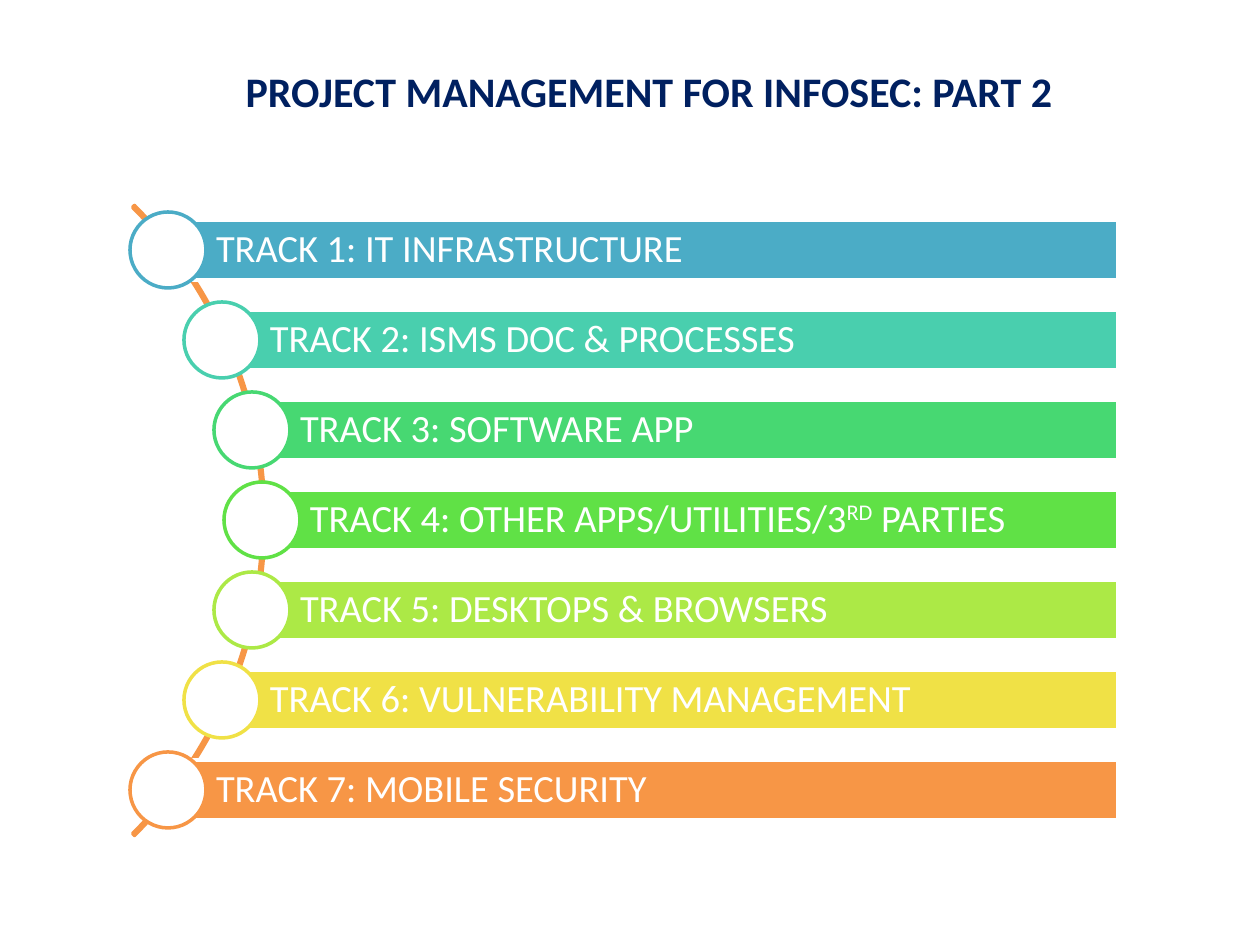
from pptx import Presentation
from pptx.dml.color import RGBColor
from pptx.enum.shapes import MSO_SHAPE
from pptx.enum.text import MSO_ANCHOR, PP_ALIGN
from pptx.util import Inches, Pt

RECTANGLE, OVAL, BLOCK_ARC = MSO_SHAPE.RECTANGLE, MSO_SHAPE.OVAL, MSO_SHAPE.BLOCK_ARC
MIDDLE = MSO_ANCHOR.MIDDLE
LEFT, CENTER = PP_ALIGN.LEFT, PP_ALIGN.CENTER

WHITE = RGBColor(0xFF, 0xFF, 0xFF)
NAVY = RGBColor(0x00, 0x20, 0x60)
BLUE = RGBColor(0x4B, 0xAC, 0xC6)
TEAL = RGBColor(0x49, 0xCF, 0xAE)
GREEN = RGBColor(0x47, 0xD8, 0x72)
BRIGHT_GREEN = RGBColor(0x60, 0xE1, 0x46)
LIME = RGBColor(0xAC, 0xE9, 0x46)
YELLOW = RGBColor(0xF0, 0xE1, 0x46)
ORANGE = RGBColor(0xF7, 0x96, 0x46)

PX_PER_INCH = 126
SUPERSCRIPT = "30000"

# Each track: colour and its text runs as (text, baseline shift)
TRACKS = [
    (BLUE, [("TRACK 1: IT INFRASTRUCTURE", None)]),
    (TEAL, [("TRACK 2: ISMS DOC & PROCESSES", None)]),
    (GREEN, [("TRACK 3: SOFTWARE APP", None)]),
    (BRIGHT_GREEN, [("TRACK 4: OTHER APPS/UTILITIES/3", None),
                    ("RD", SUPERSCRIPT), (" PARTIES", None)]),
    (LIME, [("TRACK 5: DESKTOPS & BROWSERS", None)]),
    (YELLOW, [("TRACK 6: VULNERABILITY MANAGEMENT", None)]),
    (ORANGE, [("TRACK 7: MOBILE SECURITY", None)]),
]
MIDDLE_TRACK = len(TRACKS) // 2
# Left edge of a bar by its distance from the middle track
BAR_LEFTS = [262, 252, 222, 168]
BAR_RIGHT, BAR_HEIGHT = 1118, 60
CENTER_Y, PITCH = 520, 90
MARKER_SIZE = 76
ARC_LEFT, ARC_SIZE = -626, 891


def px(length):
    return Inches(length / PX_PER_INCH)


class TrackSlide:
    """Holds the text and line style together with the current slide."""

    font_name = "Calibri"
    line_width = Pt(2)

    def __init__(self, presentation):
        self.slide = presentation.slides.add_slide(presentation.slide_layouts[5])

    def add_run(self, paragraph, text, size, color, bold=False, baseline=None):
        run = paragraph.add_run()
        run.text = text
        run.font.name = self.font_name
        run.font.size = Pt(size)
        run.font.bold = bold
        run.font.color.rgb = color
        if baseline:
            run.font._element.set("baseline", baseline)

    def title(self, text, left, top, width, height):
        heading = self.slide.shapes.title
        heading.left, heading.top = px(left), px(top)
        heading.width, heading.height = px(width), px(height)
        heading.text_frame.vertical_anchor = MIDDLE
        paragraph = heading.text_frame.paragraphs[0]
        paragraph.alignment = CENTER
        self.add_run(paragraph, text, 24, NAVY, bold=True)

    def outlined(self, preset, left, top, width, height, line, fill=None):
        shape = self.slide.shapes.add_shape(
            preset, px(left), px(top), px(width), px(height))
        shape.shadow.inherit = False
        if fill is None:
            shape.fill.background()
        else:
            shape.fill.solid()
            shape.fill.fore_color.rgb = fill
        shape.line.color.rgb = line
        shape.line.width = self.line_width
        return shape

    def arc(self, left, top, size, color):
        arc = self.outlined(BLOCK_ARC, left, top, size, size, color)
        # Start and end angle (315 and 45 degrees), then the thickness
        for index, value in enumerate((189, 27, 0.003)):
            arc.adjustments[index] = value

    def bar(self, left, center_y, color, runs):
        bar = self.outlined(RECTANGLE, left, center_y - BAR_HEIGHT // 2,
                            BAR_RIGHT - left, BAR_HEIGHT, WHITE, color)
        frame = bar.text_frame
        frame.word_wrap = True
        frame.vertical_anchor = MIDDLE
        frame.margin_left = px(48)
        frame.margin_top = frame.margin_right = frame.margin_bottom = px(7)
        paragraph = frame.paragraphs[0]
        paragraph.alignment = LEFT
        paragraph.line_spacing = 0.9
        for text, baseline in runs:
            self.add_run(paragraph, text, 22, WHITE, baseline=baseline)

    def marker(self, center_x, center_y, color):
        radius = MARKER_SIZE // 2
        self.outlined(OVAL, center_x - radius, center_y - radius,
                      MARKER_SIZE, MARKER_SIZE, color, WHITE)


def main():
    presentation = Presentation()
    presentation.slide_width, presentation.slide_height = px(1260), px(945)
    page = TrackSlide(presentation)
    page.title("PROJECT MANAGEMENT FOR INFOSEC: PART 2", 82, 29, 1134, 123)
    page.arc(ARC_LEFT, CENTER_Y - ARC_SIZE // 2, ARC_SIZE, ORANGE)
    for index, (color, runs) in enumerate(TRACKS):
        offset = index - MIDDLE_TRACK
        bar_left = BAR_LEFTS[abs(offset)]
        center_y = CENTER_Y + offset * PITCH
        page.bar(bar_left, center_y, color, runs)
        page.marker(bar_left, center_y, color)
    presentation.save("out.pptx")


if __name__ == "__main__":
    main()
